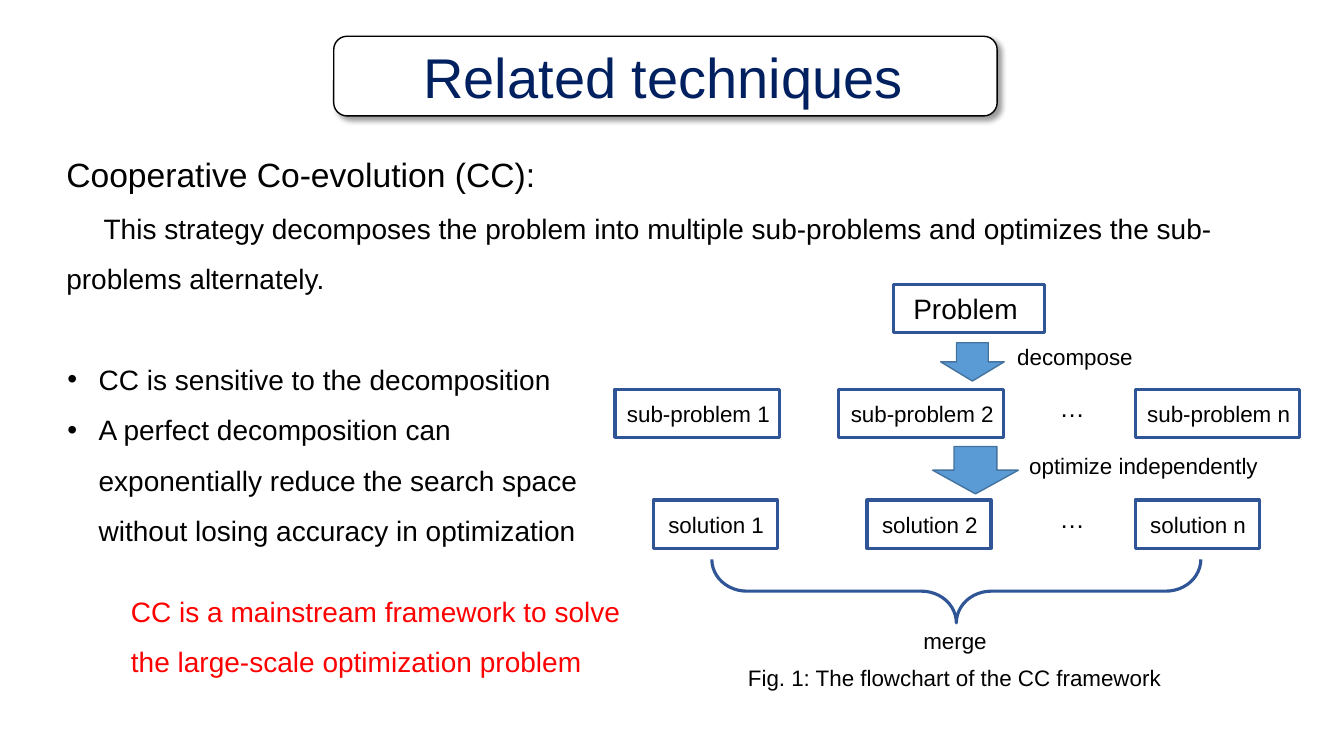
import pptx
import pptx.util
import pptx.dml.color
import pptx.enum.shapes
import pptx.enum.text
import pptx.oxml
import pptx.oxml.ns

PX = 9144  # EMU per px, 100 px to the inch
COLORS = {
    "white": "FFFFFF",
    "black": "000000",
    "navy": "002060",
    "red": "FF0000",
    "outline": "2F5597",
    "arrow": "5B9BD5",
    "arrow edge": "43739E",
}
SHAPE = pptx.enum.shapes.MSO_SHAPE


def px(*lengths):
    return [pptx.util.Emu(length * PX) for length in lengths]


def rgb(name):
    return pptx.dml.color.RGBColor.from_string(COLORS[name])


def xml(body):
    head, rest = body.split(" ", 1)
    return pptx.oxml.parse_xml(f"{head} {pptx.oxml.ns.nsdecls('a')} {rest}")


def write(box, lines, size, color="black", spacing=1.0, wrap=True):
    frame = box.text_frame
    frame.text = "\n".join(lines)
    frame.word_wrap = wrap
    frame.auto_size = pptx.enum.text.MSO_AUTO_SIZE.SHAPE_TO_FIT_TEXT
    frame.vertical_anchor = pptx.enum.text.MSO_ANCHOR.TOP
    for paragraph in frame.paragraphs:
        paragraph.alignment = pptx.enum.text.PP_ALIGN.LEFT
        paragraph.line_spacing = spacing
        for run in paragraph.runs:
            run.font.name = "Arial"
            run.font.size = pptx.util.Pt(size)
            run.font.color.rgb = rgb(color)
    return frame.paragraphs


def add_text(shapes, at, lines, size, **style):
    return write(shapes.add_textbox(*px(*at)), lines, size, **style)


def add_figure(shapes, kind, at, fill=None, line="outline", width=2.25):
    figure = shapes.add_shape(kind, *px(*at))
    figure.shadow.inherit = False
    if fill:
        figure.fill.solid()
        figure.fill.fore_color.rgb = rgb(fill)
    else:
        figure.fill.background()
    figure.line.color.rgb = rgb(line)
    figure.line.width = pptx.util.Pt(width)
    return figure


def add_labelled_box(shapes, at, label, label_at, size=16):
    add_figure(shapes, SHAPE.RECTANGLE, at)
    add_text(shapes, label_at, [label], size)


def add_step(shapes, arrow_at, label, label_at, wrap):
    add_figure(shapes, SHAPE.DOWN_ARROW, arrow_at, "arrow", "arrow edge", 1)
    add_text(shapes, label_at, [label], 16, wrap=wrap)


def add_row(shapes, name, lefts, top, width, label_shift, label_width):
    for left, index in zip(lefts, "12n"):
        add_labelled_box(shapes, (left, top, width, 48), f"{name} {index}",
                         (left + label_shift, top + 6, label_width, 37))
    add_text(shapes, (1041, top - 2, 45, 40), ["…"], 18, wrap=False)


def add_title(slide):
    frame = add_figure(slide.shapes, SHAPE.ROUNDED_RECTANGLE,
                       (331, 36, 658, 79), "white", "black", 1)
    effects = frame._element.spPr.find(pptx.oxml.ns.qn("a:effectLst"))
    effects.append(xml(
        '<a:outerShdw blurRad="50800" dist="38100" dir="2700000" algn="tl">'
        f'<a:srgbClr val="{COLORS["black"]}"><a:alpha val="40000"/></a:srgbClr>'
        '</a:outerShdw>'))
    title = slide.shapes.title
    title.left, title.top, title.width, title.height = px(410, 37, 521, 77)
    write(title, ["Related techniques"], 40, "navy")
    frame._element.addnext(title._element)  # title in front of its frame


def add_bullets(slide, at, lines):
    for paragraph in add_text(slide.shapes, at, lines, 20, spacing=1.5):
        properties = paragraph._p.get_or_add_pPr()
        properties.set("marL", str(31 * PX))
        properties.set("indent", str(-31 * PX))
        properties.append(xml('<a:buFont typeface="Arial"/>'))
        properties.append(xml('<a:buChar char="•"/>'))


def add_flowchart(slide):
    shapes = slide.shapes.add_group_shape().shapes
    add_labelled_box(shapes, (886, 282, 150, 48), "Problem",
                     (896, 284, 131, 44), 20)
    add_step(shapes, (933, 340, 63, 38), "decompose", (999, 336, 136, 37), False)
    add_row(shapes, "sub-problem", (610, 832, 1126), 386, 163, 2, 163)
    add_step(shapes, (925, 443, 85, 47), "optimize independently",
             (1011, 444, 293, 37), True)
    add_row(shapes, "solution", (648, 860, 1126), 496, 123, 5, 121)
    # Brace that merges the solutions
    brace = add_figure(shapes, SHAPE.RIGHT_BRACE, (917, 344, 63, 485))
    brace.rotation = 90
    brace.adjustments[0] = 0.55
    brace.adjustments[1] = 0.5
    add_text(shapes, (906, 617, 84, 37), ["merge"], 16, wrap=False)


def main():
    deck = pptx.Presentation()
    deck.slide_width, deck.slide_height = px(1333, 750)
    slide = deck.slides.add_slide(deck.slide_layouts[5])
    add_title(slide)

    # Introduction
    heading, strategy = add_text(slide.shapes, (56, 128, 1170, 176), [
        "Cooperative Co-evolution (CC):",
        "This strategy decomposes the problem into multiple sub-problems "
        "and optimizes the sub-problems alternately.",
    ], 20, spacing=1.5)
    heading.runs[0].font.size = pptx.util.Pt(24)
    strategy._p.get_or_add_pPr().set("indent", str(37 * PX))

    # Flowchart and caption
    add_flowchart(slide)
    add_text(slide.shapes, (732, 654, 517, 37),
             ["Fig. 1: The flowchart of the CC framework"], 16)

    # Properties and conclusion
    add_bullets(slide, (57, 338, 553, 206), [
        "CC is sensitive to the decomposition",
        "A perfect decomposition can exponentially reduce the search space "
        "without losing accuracy in optimization",
    ])
    add_text(slide.shapes, (120, 568, 521, 105),
             ["CC is a mainstream framework to solve the large-scale "
              "optimization problem"], 20, color="red", spacing=1.5)
    deck.save("out.pptx")


if __name__ == "__main__":
    main()
